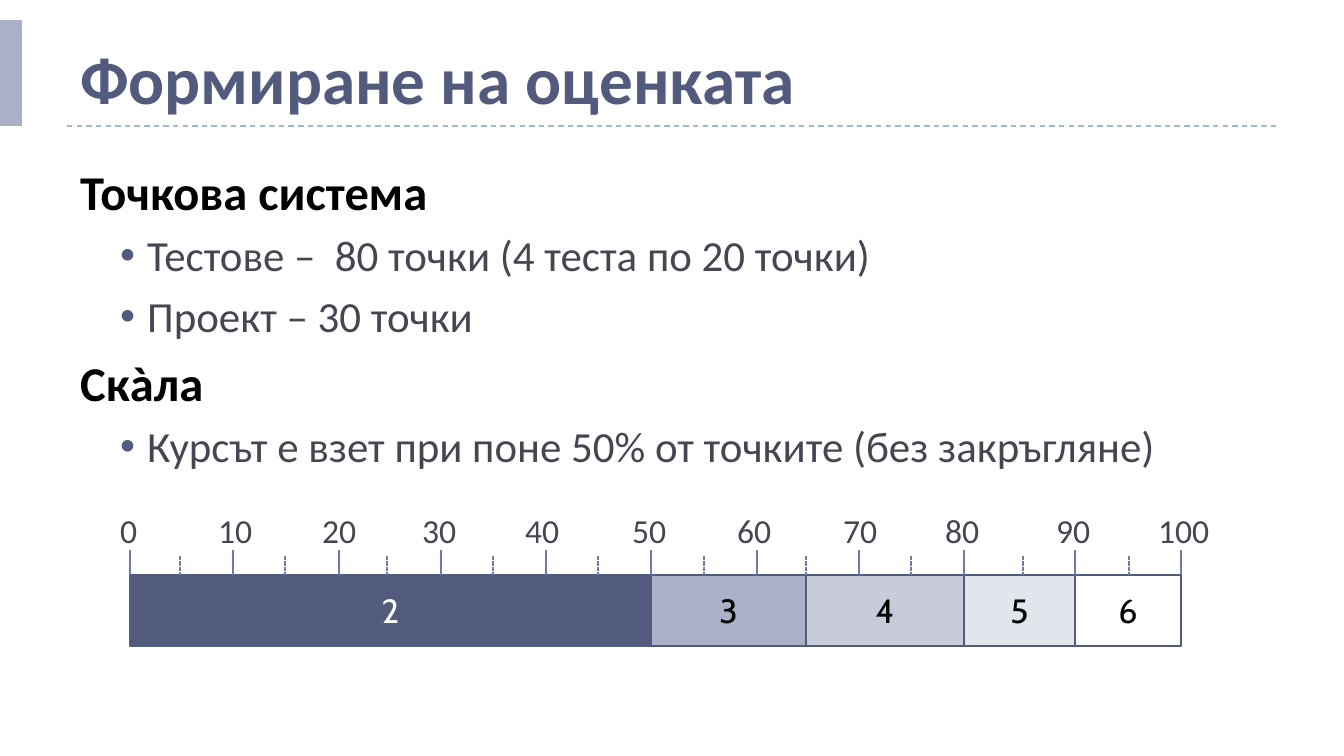
from lxml import etree
from pptx import Presentation
from pptx import util as u
from pptx.dml.color import RGBColor
from pptx.enum import dml, shapes, text
from pptx.oxml.ns import qn

SCALE = 914400 / 134.4


def px(length):
    return u.Emu(round(length * SCALE))


def color(value):
    return RGBColor.from_string(value)


presentation = Presentation()
presentation.slide_width = px(1344)
presentation.slide_height = px(756)
slide = presentation.slides.add_slide(presentation.slide_layouts[6])


def add_line(x1, y1, x2, y2, line_color, width, dash=None):
    line = slide.shapes.add_connector(
        shapes.MSO_CONNECTOR.STRAIGHT, px(x1), px(y1), px(x2), px(y2))
    line.line.color.rgb = color(line_color)
    line.line.width = u.Pt(width)
    if dash:
        line.line.dash_style = dash
    etree.SubElement(line._element.spPr, qn("a:effectLst"))


def style(paragraph, size, font_color, bold=False, name="Calibri"):
    paragraph.font.size = u.Pt(size)
    paragraph.font.name = name
    paragraph.font.bold = bold
    paragraph.font.color.rgb = color(font_color)


add_line(67, 126, 1277, 126, "9FB8CD", 0.75, dml.MSO_LINE.DASH)
accent = slide.shapes.add_shape(
    shapes.MSO_SHAPE.RECTANGLE, 0, px(20), px(22), px(106))
accent.shadow.inherit = False
accent.fill.solid()
accent.fill.fore_color.rgb = color("AAB0C8")
accent.line.fill.background()

title = slide.shapes.add_textbox(px(67), px(16), px(1254), px(109)).text_frame
title.word_wrap = True
title.vertical_anchor = text.MSO_ANCHOR.BOTTOM
title.text = "Формиране на оценката"
style(title.paragraphs[0], 36, "525B7E", True)

body = slide.shapes.add_textbox(px(67), px(155), px(1254), px(594)).text_frame
body.word_wrap = True
lines = [
    (0, "Точкова система"),
    (1, "Тестове –  80 точки (4 теста по 20 точки)"),
    (1, "Проект – 30 точки"),
    (0, "Скàла"),
    (1, "Курсът е взет при поне 50% от точките (без закръгляне)"),
]
for index, (level, words) in enumerate(lines):
    paragraph = body.paragraphs[0] if index == 0 else body.add_paragraph()
    paragraph.text = words
    paragraph.level = level
    if level:
        properties = paragraph._p.get_or_add_pPr()
        properties.set("marL", str(px(67)))
        properties.set("indent", str(px(-27)))
        bullet_color = etree.SubElement(properties, qn("a:buClr"))
        etree.SubElement(bullet_color, qn("a:srgbClr"), val="525B7E")
        etree.SubElement(properties, qn("a:buFont"), typeface="Arial")
        etree.SubElement(properties, qn("a:buChar"), char="•")
        style(paragraph, 23, "464653")
    else:
        style(paragraph, 26, "000000", True)
    if index:
        paragraph.space_before = u.Pt(5 if level else 6)

ticks = [130, 180, 233, 285, 339, 387, 441, 493, 546, 598, 651,
         704, 757, 806, 859, 911, 964, 1023, 1075, 1129, 1181]
tick_at = {5 * index: x for index, x in enumerate(ticks)}

grades = [
    ("2", 0, 50, "525B7E", "FFFFFF"),
    ("3", 50, 65, "AAB0C8", "000000"),
    ("4", 65, 80, "C7CBDA", "000000"),
    ("5", 80, 90, "E3E5ED", "000000"),
    ("6", 90, 100, "FFFFFF", "000000"),
]
for grade, low, high, fill, font_color in grades:
    left = tick_at[low]
    bar = slide.shapes.add_shape(
        shapes.MSO_SHAPE.RECTANGLE,
        px(left), px(575), px(tick_at[high] - left), px(71))
    bar.shadow.inherit = False
    bar.fill.solid()
    bar.fill.fore_color.rgb = color(fill)
    bar.line.color.rgb = color("525B7E")
    bar.line.width = u.Pt(0.75)
    bar.text_frame.vertical_anchor = text.MSO_ANCHOR.MIDDLE
    paragraph = bar.text_frame.paragraphs[0]
    paragraph.text = grade
    paragraph.alignment = text.PP_ALIGN.CENTER
    style(paragraph, 18, font_color, name="Cabin")

for points, x in tick_at.items():
    if points % 10:
        add_line(x, 556, x, 575, "727CA3", 0.75, dml.MSO_LINE.SQUARE_DOT)
    else:
        add_line(x, 550, x, 575, "727CA3", 1.5)

scale = slide.shapes.add_textbox(px(107), px(503), px(1168), px(54)).text_frame
scale.word_wrap = True
paragraph = scale.paragraphs[0]
paragraph.text = "\t".join(str(points) for points in range(0, 101, 10))
tabs = etree.SubElement(paragraph._p.get_or_add_pPr(), qn("a:tabLst"))
for stop in [98, 202, 302, 405, 512, 617, 723, 825, 936, 1038]:
    etree.SubElement(tabs, qn("a:tab"), pos=str(px(stop)), algn="l")
style(paragraph, 18, "464653")

presentation.save("out.pptx")
